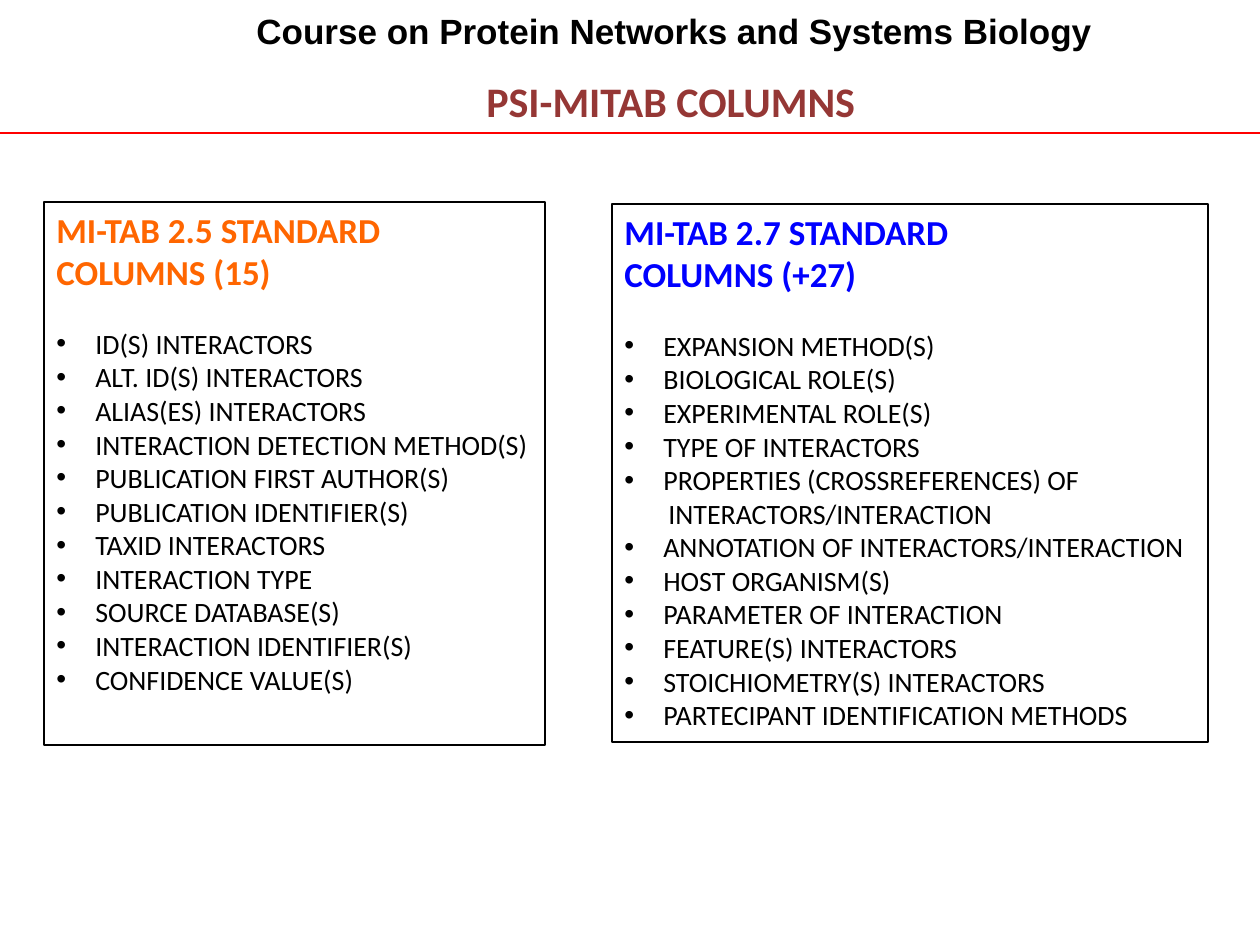
from lxml import etree
from pptx import Presentation
from pptx.dml.color import RGBColor
from pptx.enum.shapes import MSO_CONNECTOR as CONN, MSO_SHAPE as SHAPE
from pptx.enum.text import MSO_ANCHOR as ANCHOR, PP_ALIGN as ALIGN
from pptx.oxml.ns import qn
from pptx.util import Emu, Pt

BLACK = RGBColor(0x00, 0x00, 0x00)
RED = RGBColor(0xFF, 0x00, 0x00)
MAROON = RGBColor(0x95, 0x37, 0x35)
ORANGE = RGBColor(0xFF, 0x66, 0x00)
BLUE = RGBColor(0x00, 0x00, 0xFF)

INDENT = 39
CONTINUED = 44

MITAB_25 = [
    "ID(S) INTERACTORS",
    "ALT. ID(S) INTERACTORS",
    "ALIAS(ES) INTERACTORS",
    "INTERACTION DETECTION METHOD(S)",
    "PUBLICATION FIRST AUTHOR(S)",
    "PUBLICATION IDENTIFIER(S)",
    "TAXID INTERACTORS",
    "INTERACTION TYPE",
    "SOURCE DATABASE(S)",
    "INTERACTION IDENTIFIER(S)",
    "CONFIDENCE VALUE(S)",
]
MITAB_27 = [
    "EXPANSION METHOD(S)",
    "BIOLOGICAL ROLE(S)",
    "EXPERIMENTAL ROLE(S)",
    "TYPE OF INTERACTORS",
    "PROPERTIES (CROSSREFERENCES) OF\nINTERACTORS/INTERACTION",
    "ANNOTATION OF INTERACTORS/INTERACTION",
    "HOST ORGANISM(S)",
    "PARAMETER OF INTERACTION",
    "FEATURE(S) INTERACTORS",
    "STOICHIOMETRY(S) INTERACTORS",
    "PARTECIPANT IDENTIFICATION METHODS",
]


def px(n):
    return Emu(round(n * 914400 / 126))


def style(p, font, size, color, bold):
    for r in p.runs:
        r.font.name = font
        r.font.size = Pt(size)
        r.font.color.rgb = color
        r.font.bold = bold


def set_indent(p, left, first=0, bullet=None):
    pPr = p._p.get_or_add_pPr()
    pPr.set("marL", str(px(left)))
    pPr.set("indent", str(px(first)))
    if bullet:
        etree.SubElement(pPr, qn("a:buFont")).set("typeface", "Arial")
        etree.SubElement(pPr, qn("a:buChar")).set("char", bullet)


def add_title(slide, box, text, font, size, color, wrap):
    tf = slide.shapes.add_textbox(*map(px, box)).text_frame
    tf.word_wrap = wrap
    tf.text = text
    p = tf.paragraphs[0]
    style(p, font, size, color, True)


def add_header(slide, x, y, w):
    add_title(slide, (x + 244, y + 3, 994, 55),
              "Course on Protein Networks and Systems Biology",
              "Arial", 20, BLACK, True)
    add_title(slide, (x + 474, y + 69, 403, 63), "PSI-MITAB COLUMNS",
              "Calibri", 24, MAROON, False)
    rule = slide.shapes.add_connector(
        CONN.STRAIGHT, px(x), px(y + 133), px(x + w), px(y + 133))
    rule.line.color.rgb = RED
    rule.line.width = Pt(0.75)
    etree.SubElement(rule._element.spPr, qn("a:effectLst"))


def add_panel(slide, box, heading, color, items):
    sp = slide.shapes.add_shape(SHAPE.RECTANGLE, *map(px, box))
    sp.shadow.inherit = False
    sp.fill.background()
    sp.line.color.rgb = BLACK
    sp.line.width = Pt(0.75)
    tf = sp.text_frame
    tf.word_wrap = False
    tf.vertical_anchor = ANCHOR.TOP
    tf.text = "\n".join(heading)
    for p in tf.paragraphs:
        p.alignment = ALIGN.LEFT
        style(p, "Calibri", 20, color, True)
    for i, item in enumerate(items):
        for j, line in enumerate(item.split("\n")):
            p = tf.add_paragraph()
            p.text = line
            p.alignment = ALIGN.LEFT
            if j == 0:
                if i == 0:
                    p.space_before = Pt(19.5)
                set_indent(p, INDENT, -INDENT, "•")
            else:
                set_indent(p, CONTINUED)
            style(p, "Calibri", 16, BLACK, False)


def main():
    prs = Presentation()
    prs.slide_width, prs.slide_height = px(1260), px(945)
    slide = prs.slides.add_slide(prs.slide_layouts[6])
    add_header(slide, 0, 0, 1260)
    add_panel(slide, (44, 202, 501, 543),
              ("MI-TAB 2.5 STANDARD", "COLUMNS (15)"), ORANGE, MITAB_25)
    add_panel(slide, (612, 204, 596, 538),
              ("MI-TAB 2.7 STANDARD", "COLUMNS (+27)"), BLUE, MITAB_27)
    prs.save("out.pptx")


if __name__ == "__main__":
    main()
